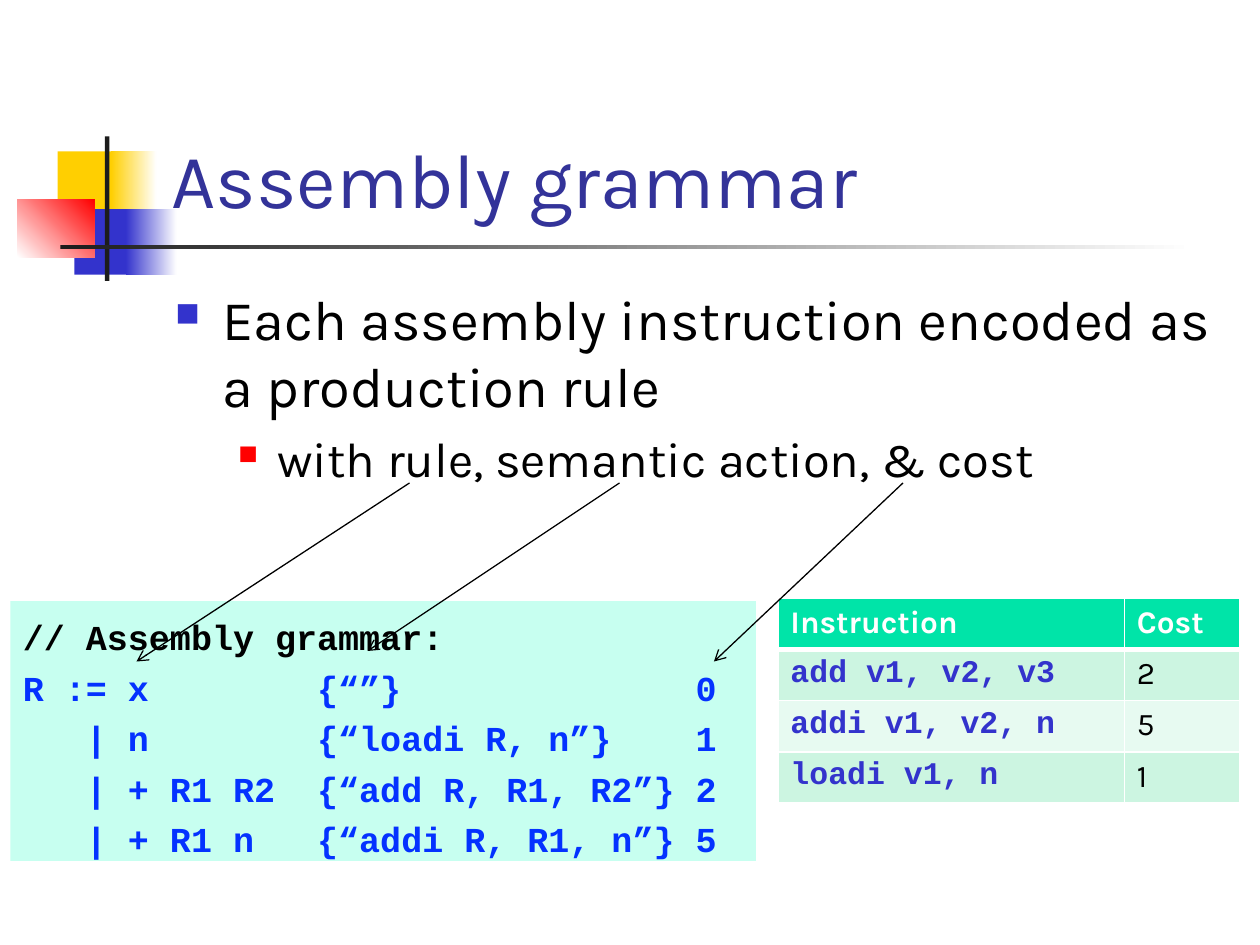
from lxml.etree import SubElement
from pptx import Presentation
from pptx.dml.color import RGBColor
from pptx.enum.shapes import MSO_CONNECTOR, MSO_SHAPE
from pptx.enum.text import MSO_ANCHOR
from pptx.oxml.ns import qn
from pptx.util import Pt

COLORS = {
    "yellow": "FFCF01", "blue": "3333CC", "red": "FF0000", "dark": "1C1C1C",
    "title": "333399", "black": "000000", "white": "FFFFFF",
    "code_bg": "C7FFF0", "code": "0432FF",
    "header": "00E4A8", "band_odd": "CCF5E1", "band_even": "E7FAF1",
}
SANS, MONO = "Karla", "Courier New"

# left, top, width, height, gradient colours (one for solid), angle
DECOR = [
    (33, 86.5, 34.5, 37.5, ["yellow"], 0),
    (63.5, 86.5, 26, 37.5, ["yellow", "white"], 0),
    (42.5, 119.5, 33, 37.5, ["blue"], 0),
    (72, 119.5, 29, 37.5, ["blue", "white"], 0),
    (10, 114, 44, 33, ["white", "red"], 45),
    (60, 78, 2.5, 82.5, ["dark"], 0),
    (34.5, 140, 648, 2.5, ["dark", "white"], 0),
]
BULLETS = [
    # text, size, left indent, hanging indent, bullet colour, bullet size %
    ("Each assembly instruction encoded as a production rule", 32, 27, 27, "blue", 60),
    ("with rule, semantic action, & cost", 28, 58.5, 22.5, "red", 55),
]
GRAMMAR = [
    "// Assembly grammar:",
    "R := x        {“”}              0",
    "   | n        {“loadi R, n”}    1",
    "   | + R1 R2  {“add R, R1, R2”} 2",
    "   | + R1 n   {“addi R, R1, n”} 5",
]
COSTS = [
    ("Instruction", "Cost"),
    ("add v1, v2, v3", "2"),
    ("addi v1, v2, n", "5"),
    ("loadi v1, n", "1"),
]
ARROWS = [
    (234, 276, 78, 378),
    (354, 276, 210, 372),
    (516, 276, 408, 378),
]


def rgb(name):
    return RGBColor.from_string(COLORS[name])


def set_attrs(obj, values):
    for key, value in values.items():
        setattr(obj, key, value)


def add_run(p, text, color, size, name=SANS, bold=False):
    r = p.add_run()
    r.text = text
    set_attrs(r.font, {"name": name, "size": Pt(size), "bold": bold})
    r.font.color.rgb = rgb(color)


def add_rect(slide, box, colors, angle=0):
    sp = slide.shapes.add_shape(MSO_SHAPE.RECTANGLE, *map(Pt, box))
    sp.shadow.inherit = False
    sp.line.fill.background()
    if len(colors) == 1:
        sp.fill.solid()
        sp.fill.fore_color.rgb = rgb(colors[0])
    else:
        sp.fill.gradient()
        sp.fill.gradient_angle = angle
        for stop, color in zip(sp.fill.gradient_stops, colors):
            stop.color.rgb = rgb(color)
    return sp


def add_text_frame(slide, box, anchor):
    tf = slide.shapes.add_textbox(*map(Pt, box)).text_frame
    set_attrs(tf, {"word_wrap": True, "vertical_anchor": anchor})
    return tf


def next_paragraph(tf, index, space):
    """Return the paragraph for this index, spaced from the one above."""
    if index == 0:
        return tf.paragraphs[0]
    p = tf.add_paragraph()
    p.space_before = Pt(space)
    return p


def set_bullet(p, color, percent, left, hanging):
    pPr = p._p.get_or_add_pPr()
    pPr.set("marL", str(Pt(left)))
    pPr.set("indent", str(-Pt(hanging)))
    clr = SubElement(pPr, qn("a:buClr"))
    SubElement(clr, qn("a:srgbClr"), val=COLORS[color])
    SubElement(pPr, qn("a:buSzPct"), val=str(percent * 1000))
    SubElement(pPr, qn("a:buChar"), char="■")


def add_bullets(slide):
    tf = add_text_frame(slide, (93, 159, 612, 324), MSO_ANCHOR.TOP)
    for i, (text, size, left, hanging, color, percent) in enumerate(BULLETS):
        p = next_paragraph(tf, i, size * 0.2)
        p.level = i
        set_bullet(p, color, percent, left, hanging)
        add_run(p, text, "black", size)


def add_grammar(slide):
    sp = add_rect(slide, (6, 343.5, 426, 148.5), ["code_bg"])
    tf = sp.text_frame
    set_attrs(tf, {"vertical_anchor": MSO_ANCHOR.TOP, "margin_top": Pt(8.4)})
    for i, line in enumerate(GRAMMAR):
        p = next_paragraph(tf, i, 4.8)
        p.alignment = 1
        add_run(p, line, "code" if i else "black", 20, MONO, True)


def set_borders(cell, bottom):
    tcPr = cell._tc.get_or_add_tcPr()
    widths = {"a:lnL": 1, "a:lnR": 1, "a:lnT": 1, "a:lnB": bottom}
    for i, (tag, width) in enumerate(widths.items()):
        ln = tcPr.makeelement(qn(tag), w=str(Pt(width)))
        fill = SubElement(ln, qn("a:solidFill"))
        SubElement(fill, qn("a:srgbClr"), val=COLORS["white"])
        tcPr.insert(i, ln)


def add_cost_table(slide):
    box = map(Pt, (444.5, 342, 264, 116.8))
    table = slide.shapes.add_table(len(COSTS), 2, *box).table
    table.horz_banding = False
    for column, width in zip(table.columns, (198, 66)):
        column.width = Pt(width)
    for i, row in enumerate(COSTS):
        table.rows[i].height = Pt(29.2)
        fill = "header" if i == 0 else ("band_odd" if i % 2 else "band_even")
        for j, text in enumerate(row):
            cell = table.cell(i, j)
            cell.fill.solid()
            cell.fill.fore_color.rgb = rgb(fill)
            set_borders(cell, 1 if i else 3)
            if i == 0:
                style = ("white", 18, SANS, True)
            elif j == 0:
                style = ("blue", 18, MONO, True)
            else:
                style = ("black", 18, SANS, False)
            add_run(cell.text_frame.paragraphs[0], text, *style)


def add_arrow(slide, ends):
    line = slide.shapes.add_connector(MSO_CONNECTOR.STRAIGHT, *map(Pt, ends))
    line.line.color.rgb = rgb("black")
    line.line.width = Pt(0.75)
    SubElement(line.line._get_or_add_ln(), qn("a:tailEnd"), type="arrow")
    SubElement(line._element.spPr, qn("a:effectLst"))


def main():
    prs = Presentation()
    prs.slide_width, prs.slide_height = Pt(720), Pt(540)
    slide = prs.slides.add_slide(prs.slide_layouts[6])
    for *box, colors, angle in DECOR:
        add_rect(slide, box, colors, angle)
    title = add_text_frame(slide, (91, 16.5, 613.5, 115), MSO_ANCHOR.BOTTOM)
    add_run(title.paragraphs[0], "Assembly grammar", "title", 44)
    add_bullets(slide)
    add_cost_table(slide)
    add_grammar(slide)
    for ends in ARROWS:
        add_arrow(slide, ends)
    prs.save("out.pptx")


if __name__ == "__main__":
    main()
